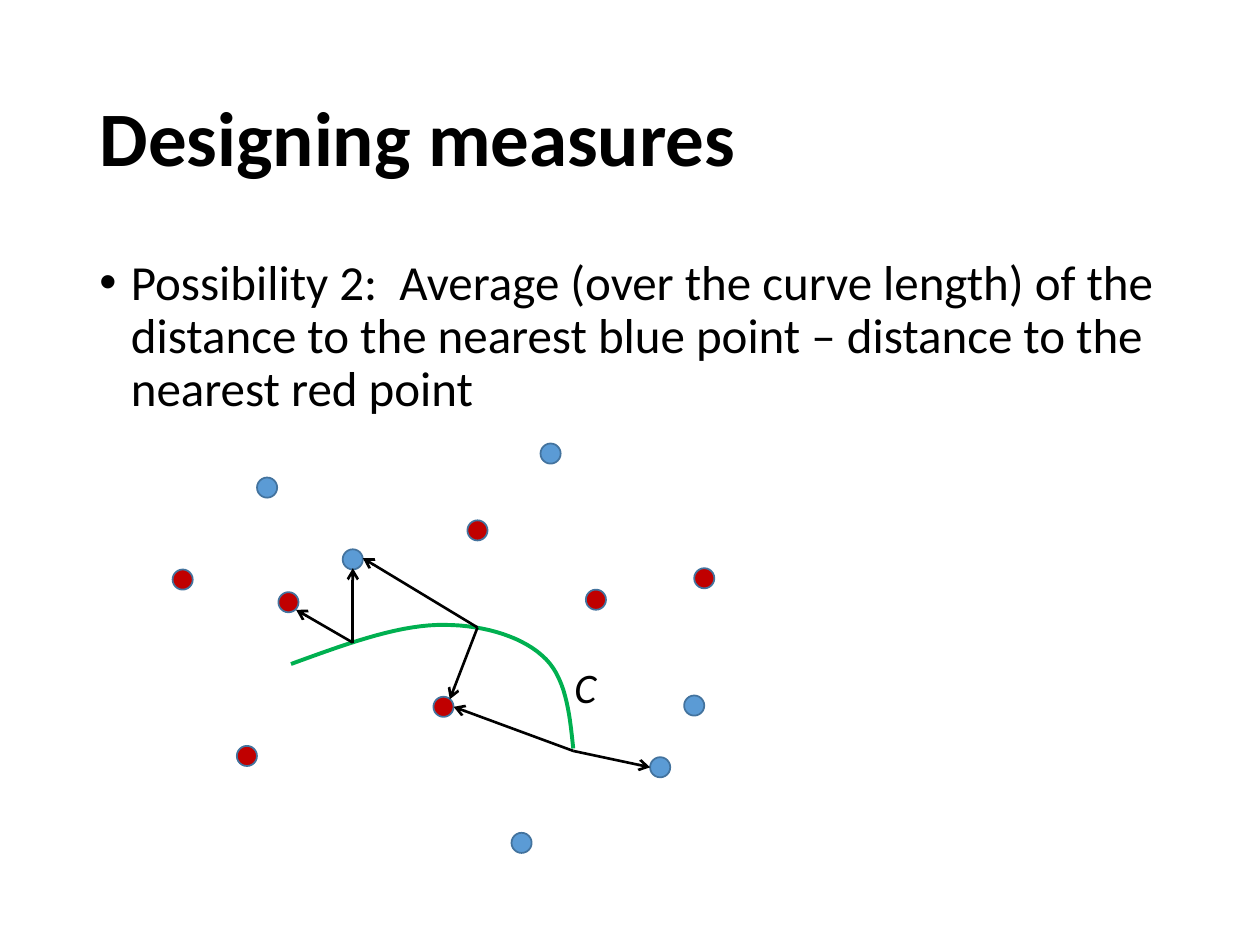
from lxml import etree
from pptx import Presentation
from pptx import util as u
from pptx.dml.color import RGBColor
from pptx.enum import shapes, text
from pptx.oxml import ns

BLACK = RGBColor(0x00, 0x00, 0x00)
BLUE = RGBColor(0x5B, 0x9B, 0xD5)
RED = RGBColor(0xC0, 0x00, 0x00)
GREEN = RGBColor(0x00, 0xB0, 0x50)
OUTLINE = RGBColor(0x43, 0x73, 0x9E)
COLUMNS, ROWS = 100, 75

BLUE_POINTS = [(28, 44.4), (21.2, 38.7), (55.1, 56), (41.4, 66.9),
               (52.4, 60.9), (43.7, 36)]
RED_POINTS = [(14.5, 46), (22.9, 47.8), (37.9, 42.1), (19.6, 60),
              (35.2, 56.1), (47.3, 47.6), (55.9, 45.9)]
CURVE_START = (23.1, 52.7)
CURVE_PIECES = [((27.2, 51.2), (31.3, 49.7), (34.7, 49.6)),
                ((38, 49.5), (41.2, 50.4), (43, 52)),
                ((44.9, 53.6), (45.2, 56.5), (45.5, 59.4))]
# Each place on the curve leads to its nearest red and nearest blue point.
NEAREST = {(28, 51): [(23.5, 48.4), (28, 45.1)],
           (37.9, 49.8): [(35.7, 55.5), (28.8, 44.3)],
           (45.5, 59.6): [(51.6, 60.9), (36, 56.1)]}


def bezier(start, first, second, end, steps=16):
    """Return points along a cubic curve, leaving out its start."""
    points = []
    for step in range(1, steps + 1):
        t = step / steps
        weights = ((1 - t) ** 3, 3 * t * (1 - t) ** 2, 3 * t * t * (1 - t), t ** 3)
        points.append(tuple(sum(w * p[axis] for w, p in
                                zip(weights, (start, first, second, end)))
                            for axis in (0, 1)))
    return points


class Diagram:
    """Holds the style and the current slide; lengths are grid cells."""

    font_name = "Calibri"
    dot_size = 1.6

    def __init__(self, deck):
        """Add a title-only slide to the deck."""
        self.slide = deck.slides.add_slide(deck.slide_layouts[5])
        self.cell_width = deck.slide_width / COLUMNS
        self.cell_height = deck.slide_height / ROWS

    def place(self, column, row):
        """Turn a grid position into slide lengths."""
        return u.Emu(round(column * self.cell_width)), u.Emu(round(row * self.cell_height))

    def set_words(self, frame, words, size, bold=False, italic=False):
        """Set and format one left-aligned paragraph."""
        frame.text = words
        paragraph = frame.paragraphs[0]
        paragraph.alignment = text.PP_ALIGN.LEFT
        font = paragraph.runs[0].font
        font.name, font.size = self.font_name, u.Pt(size)
        font.bold, font.italic = bold, italic
        font.color.rgb = BLACK
        return paragraph

    def title(self, words, corner, extent):
        """Move and fill the title placeholder."""
        heading = self.slide.shapes.title
        heading.left, heading.top = self.place(*corner)
        heading.width, heading.height = self.place(*extent)
        heading.text_frame.vertical_anchor = text.MSO_ANCHOR.MIDDLE
        self.set_words(heading.text_frame, words, 44, bold=True).line_spacing = 0.9

    def text_box(self, words, corner, extent, size, wrap=True, italic=False):
        """Add a text box and return its paragraph."""
        frame = self.slide.shapes.add_textbox(*self.place(*corner),
                                              *self.place(*extent)).text_frame
        frame.word_wrap = wrap
        return self.set_words(frame, words, size, italic=italic)

    def bullet(self, words, corner, extent):
        """Add a bulleted statement with a hanging indent."""
        statement = self.text_box(words, corner, extent, 28)
        statement.line_spacing, statement.space_before = 0.9, u.Pt(10)
        properties = statement._p.get_or_add_pPr()
        properties.set("marL", str(u.Inches(0.25)))
        properties.set("indent", str(u.Inches(-0.25)))
        etree.SubElement(properties, ns.qn("a:buFont")).set("typeface", "Arial")
        etree.SubElement(properties, ns.qn("a:buChar")).set("char", "•")

    def dot(self, column, row, color):
        """Add a sample point centred on a grid position."""
        half = self.dot_size / 2
        point = self.slide.shapes.add_shape(
            shapes.MSO_SHAPE.OVAL, *self.place(column - half, row - half),
            *self.place(self.dot_size, self.dot_size))
        point.shadow.inherit = False
        point.fill.solid()
        point.fill.fore_color.rgb = color
        point.line.color.rgb, point.line.width = OUTLINE, u.Pt(1)

    def curve(self, start, pieces):
        """Draw an open smooth curve through cubic pieces."""
        points = [start]
        for piece in pieces:
            points += bezier(points[-1], *piece)
        builder = self.slide.shapes.build_freeform(*self.place(*start))
        builder.add_line_segments([self.place(*p) for p in points[1:]], close=False)
        arc = builder.convert_to_shape()
        arc.shadow.inherit = False
        arc.fill.background()
        arc.line.color.rgb, arc.line.width = GREEN, u.Pt(2.25)

    def arrow(self, start, end):
        """Draw a straight arrow with an open head."""
        distance = self.slide.shapes.add_connector(
            shapes.MSO_CONNECTOR.STRAIGHT, *self.place(*start), *self.place(*end))
        distance.line.color.rgb, distance.line.width = BLACK, u.Pt(1.5)
        properties = distance._element.spPr
        head = etree.SubElement(properties.find(ns.qn("a:ln")), ns.qn("a:tailEnd"))
        head.set("type", "arrow")
        etree.SubElement(properties, ns.qn("a:effectLst"))


def main():
    """Build and save the slide."""
    deck = Presentation()
    deck.slide_width, deck.slide_height = u.Inches(10), u.Inches(7.5)
    diagram = Diagram(deck)
    diagram.title("Designing measures", (6.9, 4), (86.2, 14.5))
    diagram.bullet("Possibility 2:  Average (over the curve length) of the distance to "
                   "the nearest blue point – distance to the nearest red point",
                   (6.9, 20), (86.2, 16.5))
    for color, points in ((BLUE, BLUE_POINTS), (RED, RED_POINTS)):
        for column, row in points:
            diagram.dot(column, row, color)
    diagram.text_box("C", (44.6, 52), (3.8, 5), 24, wrap=False, italic=True)
    diagram.curve(CURVE_START, CURVE_PIECES)
    for place, targets in NEAREST.items():
        for target in targets:
            diagram.arrow(place, target)
    deck.save("out.pptx")


main()
